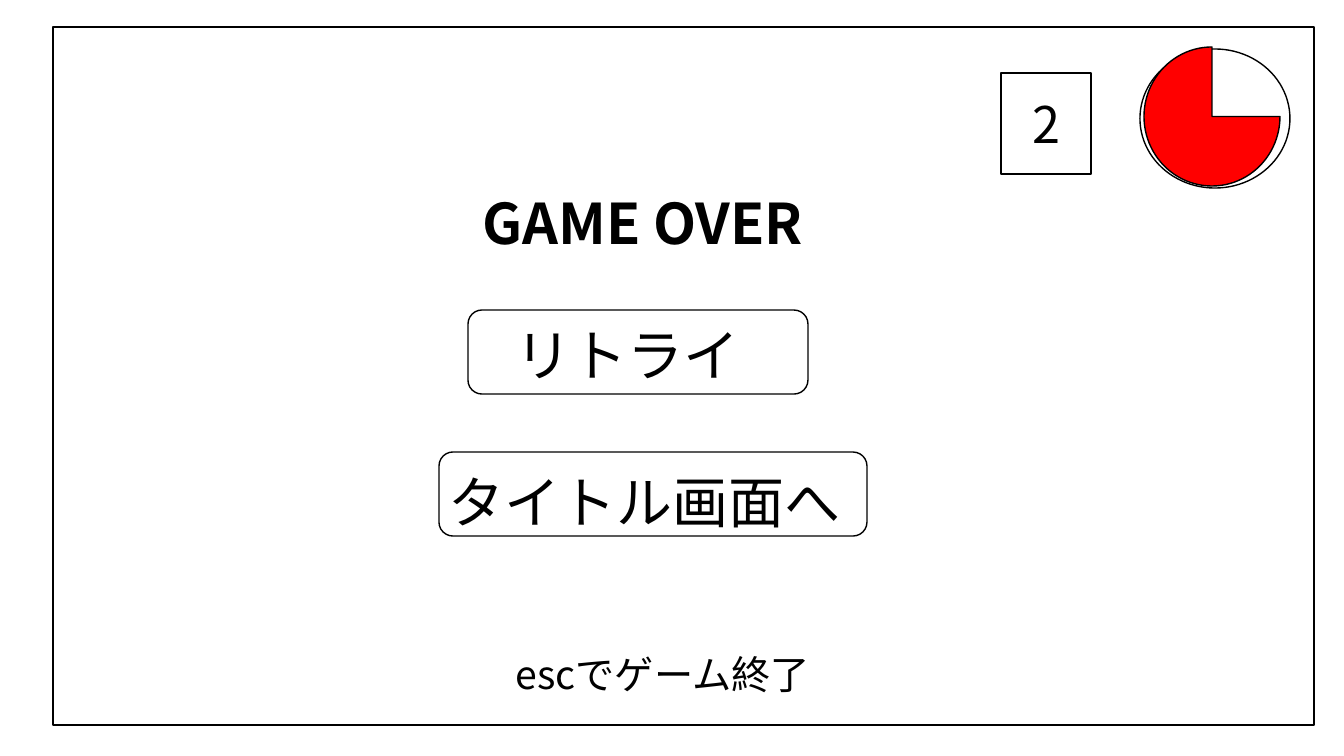
from lxml.etree import SubElement
from pptx import Presentation
from pptx.dml.color import RGBColor
from pptx.enum.shapes import MSO_SHAPE
from pptx.enum.text import MSO_AUTO_SIZE
from pptx.oxml.ns import qn
from pptx.util import Emu, Pt

PX = 914400 / 100.8
FONT = "Noto Sans CJK JP"
BLACK = RGBColor(0x00, 0x00, 0x00)
WHITE = RGBColor(0xFF, 0xFF, 0xFF)
RED = RGBColor(0xFF, 0x00, 0x00)

deck = Presentation()
deck.slide_width, deck.slide_height = Emu(round(1344 * PX)), Emu(round(756 * PX))
page = deck.slides.add_slide(deck.slide_layouts[6])


def add_outlined(kind, bounds, fill=WHITE):
    shape = page.shapes.add_shape(kind, *[Emu(round(n * PX)) for n in bounds])
    shape.shadow.inherit = False
    shape.fill.solid()
    shape.fill.fore_color.rgb = fill
    shape.line.color.rgb = BLACK
    shape.line.width = Pt(1)


def add_label(text, bounds, size, bold=False):
    box = page.shapes.add_textbox(*[Emu(round(n * PX)) for n in bounds])
    frame = box.text_frame
    frame.word_wrap = True
    frame.auto_size = MSO_AUTO_SIZE.SHAPE_TO_FIT_TEXT
    frame.text = text
    span = frame.paragraphs[0].runs[0]
    span.font.size = Pt(size)
    span.font.bold = bold
    span.font.color.rgb = BLACK
    span.font.name = FONT
    # Japanese glyphs take the East Asian typeface
    SubElement(span.font._element, qn("a:ea"), typeface=FONT)


# Game screen
add_outlined(MSO_SHAPE.RECTANGLE, (53, 27, 1261, 698))

# Remaining count and timer
add_outlined(MSO_SHAPE.OVAL, (1140, 49, 150, 139))
add_outlined(MSO_SHAPE.RECTANGLE, (1001, 73, 90, 101))
add_label("2", (1023, 88, 233, 72), 36)
add_outlined(MSO_SHAPE.PIE, (1144, 47, 136, 139), RED)

# Messages
add_label("GAME OVER", (473, 184, 443, 78), 40, bold=True)
add_label("escでゲーム終了", (506, 645, 443, 57), 28)

# Menu buttons: outline left, top, width; label left, top
for text, left, top, width, label_left, label_top in (
    ("リトライ", 468, 310, 340, 506, 316),
    ("タイトル画面へ", 439, 452, 428, 439, 463),
):
    add_outlined(MSO_SHAPE.ROUNDED_RECTANGLE, (left, top, width, 84))
    add_label(text, (label_left, label_top, 443, 78), 40)

deck.save("out.pptx")
